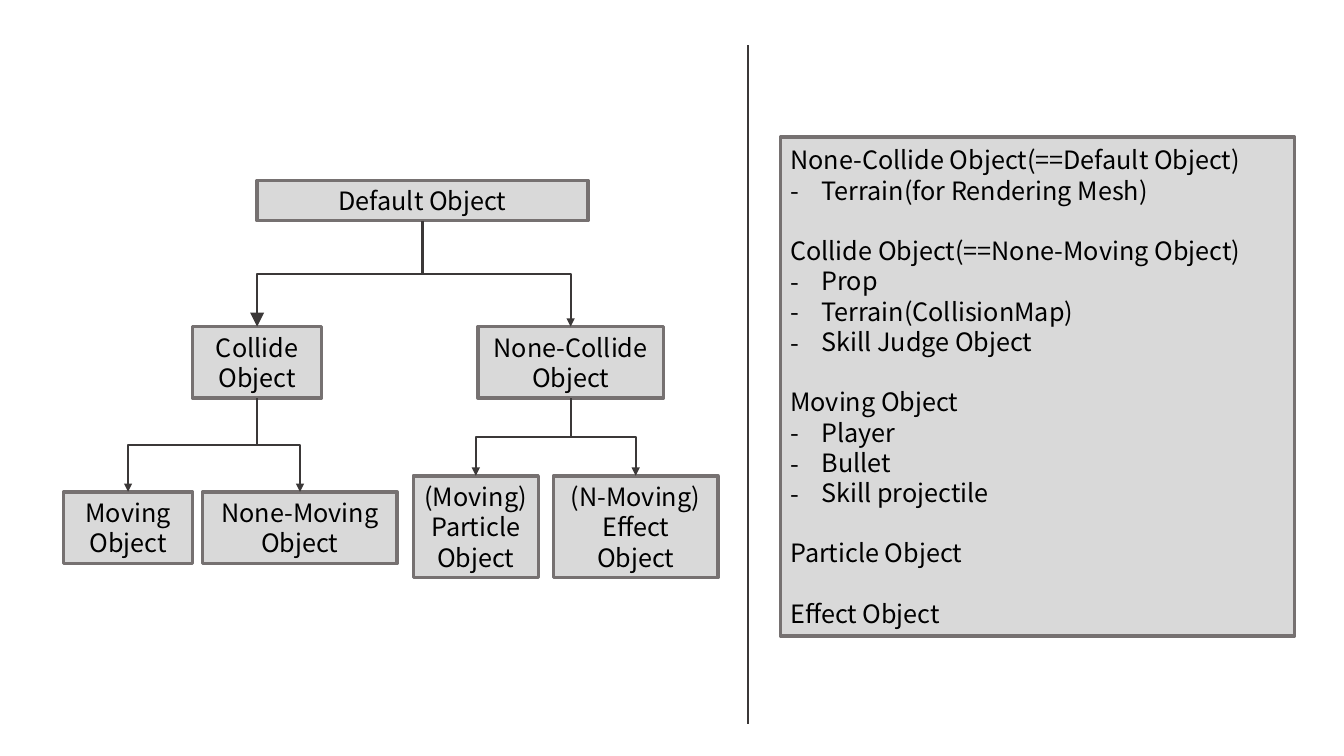
import pptx
import pptx.dml.color
import pptx.enum.shapes
import pptx.enum.text
import pptx.oxml.ns
import pptx.util
from lxml import etree

Inches, Pt = pptx.util.Inches, pptx.util.Pt
ALIGN = pptx.enum.text.PP_ALIGN
CONNECTOR = pptx.enum.shapes.MSO_CONNECTOR
FONT = "Noto Sans CJK KR"
LINE_PITCH = Pt(21.6)
INDENT = Inches(0.31)
BOTTOM, TOP = 2, 0  # connection sites of a rectangle

# name: text, left, top, width, height (inches, within the tree region)
CLASSES = {
    "default": ("Default Object", 1.92, 0, 3.28, 0.4),
    "collide": ("Collide\nObject", 1.28, 1.45, 1.28, 0.71),
    "none_collide": ("None-Collide\nObject", 4.11, 1.45, 1.84, 0.71),
    "moving": ("Moving\nObject", 0, 3.09, 1.28, 0.71),
    "none_moving": ("None-Moving\nObject", 1.38, 3.09, 1.93, 0.71),
    "particle": ("(Moving)\nParticle\nObject", 3.47, 2.93, 1.24, 1.01),
    "effect": ("(N-Moving)\nEffect\nObject", 4.86, 2.93, 1.63, 1.01),
}
# parent, child, arrowhead size
INHERITANCE = [
    ("default", "collide", "lg"),
    ("default", "none_collide", "med"),
    ("collide", "moving", "med"),
    ("collide", "none_moving", "med"),
    ("none_collide", "particle", "med"),
    ("none_collide", "effect", "med"),
]
EXAMPLES = [
    ("None-Collide Object(==Default Object)", ["Terrain(for Rendering Mesh)"]),
    ("Collide Object(==None-Moving Object)",
     ["Prop", "Terrain(CollisionMap)", "Skill Judge Object"]),
    ("Moving Object", ["Player", "Bullet", "Skill projectile"]),
    ("Particle Object", []),
    ("Effect Object", []),
]


def color(value):
    """Turn a hex string into a colour."""
    return pptx.dml.color.RGBColor.from_string(value)


def add_child(parent, tag, **attributes):
    """Append a DrawingML element with the given attributes."""
    return etree.SubElement(parent, pptx.oxml.ns.qn(tag), attributes)


def add_box(slide, text, left, top, width, height, align):
    """Draw a grey framed rectangle with text, one paragraph per line."""
    box = slide.shapes.add_shape(
        pptx.enum.shapes.MSO_SHAPE.RECTANGLE,
        Inches(left), Inches(top), Inches(width), Inches(height))
    box.shadow.inherit = False
    box.fill.solid()
    box.fill.fore_color.rgb = color("D9D9D9")
    box.line.color.rgb = color("767171")
    box.line.width = Pt(2.5)
    frame = box.text_frame
    frame.word_wrap = True
    frame.vertical_anchor = pptx.enum.text.MSO_ANCHOR.MIDDLE
    frame.text = text
    for paragraph in frame.paragraphs:
        paragraph.alignment = align
        paragraph.line_spacing = LINE_PITCH
        for run in paragraph.runs:
            run.font.name = FONT
            run.font.size = Pt(18)
            run.font.color.rgb = color("000000")
            add_child(run.font._element, "a:ea", typeface=FONT)
    return box


def style_line(connector, width):
    """Give a connector its dark line and no shadow."""
    connector.line.color.rgb = color("3B3838")
    connector.line.width = Pt(width)
    add_child(connector._element.spPr, "a:effectLst")


def add_inheritance(slide, parent, child, head_size):
    """Join parent to child by an elbow arrow that leaves downwards."""
    arrow = slide.shapes.add_connector(CONNECTOR.ELBOW, 0, 0, 0, 0)
    arrow.begin_connect(parent, BOTTOM)
    arrow.end_connect(child, TOP)
    start_x, end_x = (box.left + box.width // 2 for box in (parent, child))
    start_y, end_y = parent.top + parent.height, child.top
    # The frame is turned a quarter, so its width is the vertical drop.
    drop, spread = end_y - start_y, abs(end_x - start_x)
    arrow.left = (start_x + end_x - drop) // 2
    arrow.top = (start_y + end_y - spread) // 2
    arrow.width, arrow.height = drop, spread
    to_right = end_x > start_x
    frame = arrow._element.spPr.xfrm
    frame.rot = 270 if to_right else 90
    frame.flipH, frame.flipV = to_right, False
    style_line(arrow, 1.5)
    add_child(arrow.line._get_or_add_ln(), "a:tailEnd",
              type="triangle", w=head_size, len=head_size)


def add_class_tree(slide, left, top):
    """Draw the class boxes and their inheritance arrows."""
    boxes = {
        name: add_box(slide, text, left + x, top + y, width, height, ALIGN.CENTER)
        for name, (text, x, y, width, height) in CLASSES.items()
    }
    for parent, child, head_size in INHERITANCE:
        add_inheritance(slide, boxes[parent], boxes[child], head_size)


def add_divider(slide, x, top, height):
    """Draw the vertical line between the two regions."""
    divider = slide.shapes.add_connector(
        CONNECTOR.STRAIGHT, Inches(x), Inches(top), Inches(x), Inches(top + height))
    style_line(divider, 1)


def add_examples(slide, left, top, width, height):
    """List each class with its dashed examples in one panel."""
    lines = [line for heading, items in EXAMPLES for line in (heading, *items)]
    panel = add_box(slide, "\n".join(lines), left, top, width, height, ALIGN.JUSTIFY)
    headings = {heading for heading, _ in EXAMPLES}
    for index, paragraph in enumerate(panel.text_frame.paragraphs):
        if paragraph.text not in headings:
            properties = paragraph._p.get_or_add_pPr()
            properties.set("marL", str(INDENT))
            properties.set("indent", str(-INDENT))
            add_child(properties, "a:buFont", typeface=FONT)
            add_child(properties, "a:buChar", char="-")
        elif index:
            paragraph.space_before = LINE_PITCH


presentation = pptx.Presentation()
presentation.slide_width = Inches(13.33)
presentation.slide_height = Inches(7.5)
class_slide = presentation.slides.add_slide(presentation.slide_layouts[6])
add_class_tree(class_slide, 0.63, 1.79)
add_divider(class_slide, 7.42, 0.45, 6.73)
add_examples(class_slide, 7.74, 1.36, 5.1, 4.95)
presentation.save("out.pptx")
